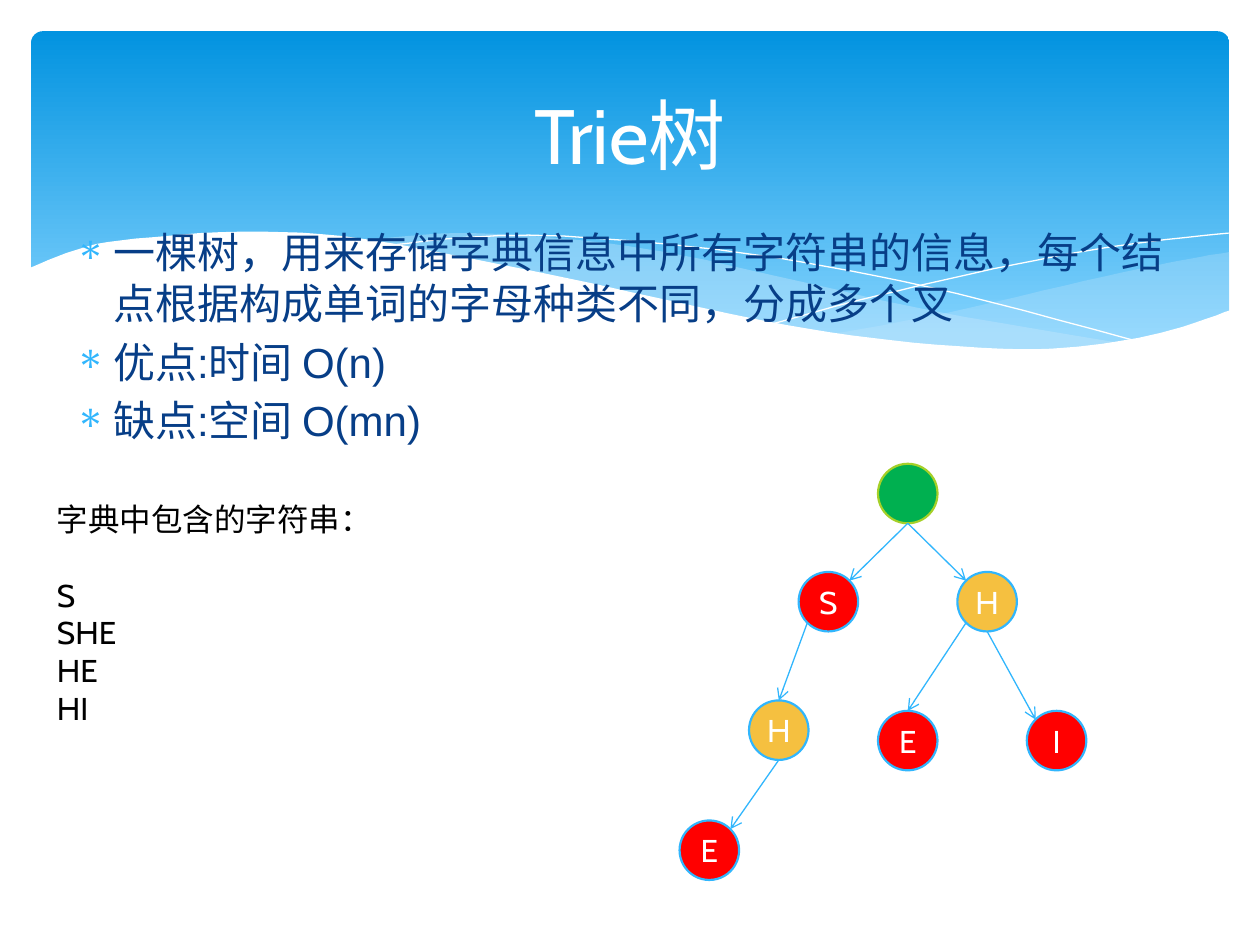
from dataclasses import dataclass
from math import sqrt

from lxml import etree
from pptx import Presentation
from pptx.dml.color import RGBColor
from pptx.enum.shapes import MSO_CONNECTOR, MSO_SHAPE
from pptx.enum.text import MSO_ANCHOR, PP_ALIGN
from pptx.oxml.ns import qn
from pptx.util import Cm, Pt

STRAIGHT = MSO_CONNECTOR.STRAIGHT
OVAL = MSO_SHAPE.OVAL
ROUNDED = MSO_SHAPE.ROUNDED_RECTANGLE
TOP, MIDDLE = MSO_ANCHOR.TOP, MSO_ANCHOR.MIDDLE
LEFT, CENTER = PP_ALIGN.LEFT, PP_ALIGN.CENTER


@dataclass(frozen=True)
class Theme:
    heading_font: str = "Cabin"
    body_font: str = "Arial"
    title_size: float = 44
    body_size: float = 24
    label_size: float = 18
    white: str = "FFFFFF"
    black: str = "000000"
    navy: str = "073E87"
    accent: str = "31B6FD"
    band_top: str = "0293E0"
    band_bottom: str = "83D3FE"
    haze: str = "C6E7FC"
    root: str = "00B050"
    root_line: str = "A5D028"
    word_end: str = "FF0000"
    inner: str = "F5C040"


THEME = Theme()
DIAMETER = 1.2
DIAGONAL = 1 / sqrt(2)
SITES = {
    "top": (0, -1),
    "bottom": (0, 1),
    "top left": (-DIAGONAL, -DIAGONAL),
    "top right": (DIAGONAL, -DIAGONAL),
    "bottom left": (-DIAGONAL, DIAGONAL),
}

NODES = {
    "root": ("", 17.7, 9.35, THEME.root, THEME.root_line),
    "S": ("S", 16.1, 11.53, THEME.word_end, THEME.accent),
    "HE": ("E", 17.7, 14.33, THEME.word_end, THEME.accent),
    "H": ("H", 19.3, 11.53, THEME.inner, THEME.accent),
    "HI": ("I", 20.7, 14.33, THEME.word_end, THEME.accent),
    "SHE": ("E", 13.7, 16.54, THEME.word_end, THEME.accent),
    "SH": ("H", 15.1, 14.12, THEME.inner, THEME.accent),
}
EDGES = [
    ("root", "bottom", "S", "top right"),
    ("root", "bottom", "H", "top left"),
    ("S", "bottom left", "SH", "top"),
    ("H", "bottom left", "HE", "top"),
    ("H", "bottom", "HI", "top left"),
    ("SH", "bottom", "SHE", "top right"),
]

# Wave knots are in hundredths of a centimetre.
RIGHT_HAZE = [
    [(2479, 508), (2375, 526), (2187, 566), (1913, 630), (1679, 673)],
    [(1679, 673), (1859, 696), (2068, 706), (2238, 693), (2375, 665), (2479, 627)],
]
MIDDLE_HAZE = [
    [(726, 485), (917, 470), (1123, 480), (1341, 508), (1598, 564), (1882, 627), (2268, 693)],
    [(2268, 693), (2129, 706), (1900, 701), (1610, 663), (1140, 564), (869, 505), (726, 485)],
]
FALLING_LINE = [
    [(785, 495), (922, 480), (1100, 475), (1354, 493), (1615, 528), (1930, 592), (2304, 691)],
]
RISING_LINE = [[(1557, 653), (1765, 597), (2047, 533), (2273, 493), (2477, 470)]]
WHITE_WAVE = [
    [(58, 541), (150, 505), (241, 485), (490, 467), (742, 483), (1135, 559),
     (1532, 645), (1798, 686), (2055, 704), (2223, 693), (2362, 665), (2482, 625)],
    [(2482, 836), (58, 836)],
]


def color(value):
    return RGBColor.from_string(value)


def smooth_curve(knots, steps=6):
    if len(knots) < 3:
        return knots
    padded = [knots[0], *knots, knots[-1]]
    points = [knots[0]]
    for before, start, end, after in zip(padded, padded[1:], padded[2:], padded[3:]):
        for step in range(1, steps + 1):
            t = step / steps
            points.append(tuple(
                (2 * b + (c - a) * t + (2 * a - 5 * b + 4 * c - d) * t**2
                 + (3 * b - a - 3 * c + d) * t**3) / 2
                for a, b, c, d in zip(before, start, end, after)
            ))
    return points


def add_wave(slide, curves, fill=None, opacity=100):
    points = [point for knots in curves for point in smooth_curve(knots)]
    builder = slide.shapes.build_freeform(*points[0], scale=Cm(0.01))
    builder.add_line_segments(points[1:], close=fill is not None)
    shape = builder.convert_to_shape()
    shape.shadow.inherit = False
    if fill is None:
        shape.fill.background()
        shape.line.color.rgb = color(THEME.white)
        shape.line.width = Pt(0)
        return
    shape.line.fill.background()
    shape.fill.solid()
    shape.fill.fore_color.rgb = color(fill)
    if opacity < 100:
        fill_color = shape.element.spPr.find(f"{qn('a:solidFill')}/{qn('a:srgbClr')}")
        etree.SubElement(fill_color, qn("a:alpha"), val=str(opacity * 1000))


def add_band(slide):
    band = slide.shapes.add_shape(ROUNDED, Cm(0.63), Cm(0.63), Cm(24.15), Cm(6.85))
    band.adjustments[0] = 0.034
    band.shadow.inherit = False
    band.line.fill.background()
    band.fill.gradient()
    band.fill.gradient_angle = 270
    stops = zip(band.fill.gradient_stops, (0, 0.9), (THEME.band_top, THEME.band_bottom))
    for stop, position, value in stops:
        stop.position = position
        stop.color.rgb = color(value)


def write_paragraph(paragraph, text, font, size, value, alignment=LEFT):
    paragraph.alignment = alignment
    run = paragraph.add_run()
    run.text = text
    run.font.name = font
    run.font.size = Pt(size)
    run.font.color.rgb = color(value)


def add_text(slide, box, lines, font, size, value, alignment=LEFT, anchor=TOP):
    frame = slide.shapes.add_textbox(*map(Cm, box)).text_frame
    frame.word_wrap = True
    frame.vertical_anchor = anchor
    for index, line in enumerate(lines):
        paragraph = frame.add_paragraph() if index else frame.paragraphs[0]
        write_paragraph(paragraph, line, font, size, value, alignment)
    return frame.paragraphs


def add_bullet(paragraph):
    paragraph.space_before = Pt(4.8)
    properties = paragraph._p.get_or_add_pPr()
    properties.set("marL", str(Cm(0.76)))
    properties.set("indent", str(-Cm(0.76)))
    bullet_color = etree.SubElement(properties, qn("a:buClr"))
    etree.SubElement(bullet_color, qn("a:srgbClr"), val=THEME.accent)
    etree.SubElement(properties, qn("a:buChar"), char="∗")


def add_node(slide, label, left, top, fill, line):
    node = slide.shapes.add_shape(OVAL, Cm(left), Cm(top), Cm(DIAMETER), Cm(DIAMETER))
    node.shadow.inherit = False
    node.fill.solid()
    node.fill.fore_color.rgb = color(fill)
    node.line.color.rgb = color(line)
    node.line.width = Pt(1.25)
    if label:
        frame = node.text_frame
        frame.margin_left = frame.margin_right = frame.margin_top = frame.margin_bottom = 0
        frame.word_wrap = False
        frame.vertical_anchor = MIDDLE
        write_paragraph(frame.paragraphs[0], label, THEME.heading_font,
                        THEME.label_size, THEME.white, CENTER)


def site_position(name, site):
    left, top = NODES[name][1:3]
    across, down = SITES[site]
    radius = DIAMETER / 2
    return Cm(left + radius * (1 + across)), Cm(top + radius * (1 + down))


def add_edge(slide, parent, parent_site, child, child_site):
    edge = slide.shapes.add_connector(
        STRAIGHT, *site_position(parent, parent_site), *site_position(child, child_site))
    edge.line.color.rgb = color(THEME.accent)
    edge.line.width = Pt(0.75)
    properties = edge.element.spPr
    etree.SubElement(properties.find(qn("a:ln")), qn("a:tailEnd"), type="arrow")
    etree.SubElement(properties, qn("a:effectLst"))


def main():
    presentation = Presentation()
    presentation.slide_width, presentation.slide_height = Cm(25.4), Cm(19.05)
    slide = presentation.slides.add_slide(presentation.slide_layouts[6])
    add_band(slide)
    add_wave(slide, RIGHT_HAZE, THEME.haze, 29)
    add_wave(slide, MIDDLE_HAZE, THEME.haze, 40)
    add_wave(slide, FALLING_LINE)
    add_wave(slide, RISING_LINE)
    add_wave(slide, WHITE_WAVE, THEME.white)
    points = [
        "一棵树，用来存储字典信息中所有字符串的信息，每个结点根据构成单词的字母种类不同，分成多个叉",
        "优点:时间 O(n)",
        "缺点:空间 O(mn)",
    ]
    for paragraph in add_text(slide, (1.27, 4.45, 22.86, 5.08), points,
                              THEME.body_font, THEME.body_size, THEME.navy):
        add_bullet(paragraph)
    add_text(slide, (1.27, 0.95, 22.86, 3.48), ["Trie树"], THEME.heading_font,
             THEME.title_size, THEME.white, CENTER, MIDDLE)
    for node in NODES.values():
        add_node(slide, *node)
    for edge in EDGES:
        add_edge(slide, *edge)
    words = add_text(slide, (0.9, 9.95, 12, 5.63),
                     ["字典中包含的字符串：", "S", "SHE", "HE", "HI"],
                     THEME.heading_font, THEME.label_size, THEME.black)
    words[1].space_before = Pt(21.7)
    presentation.save("out.pptx")


if __name__ == "__main__":
    main()
